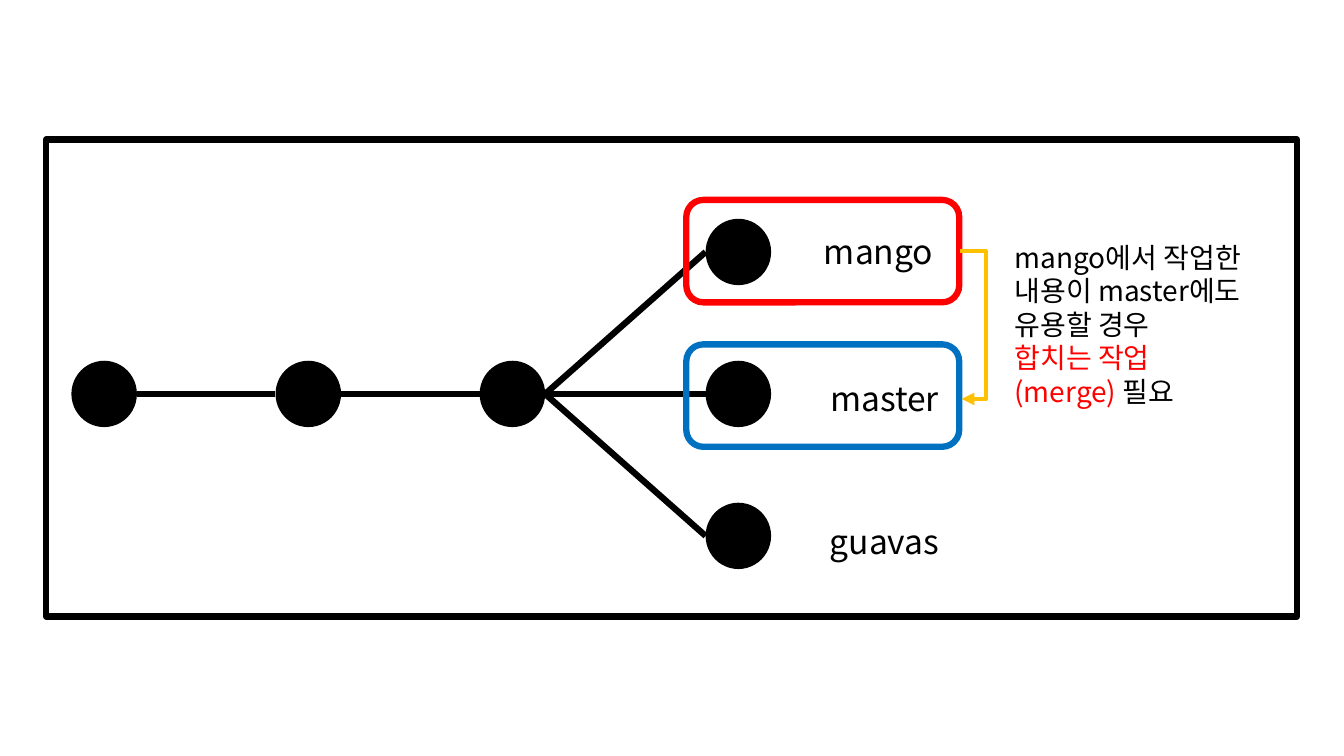
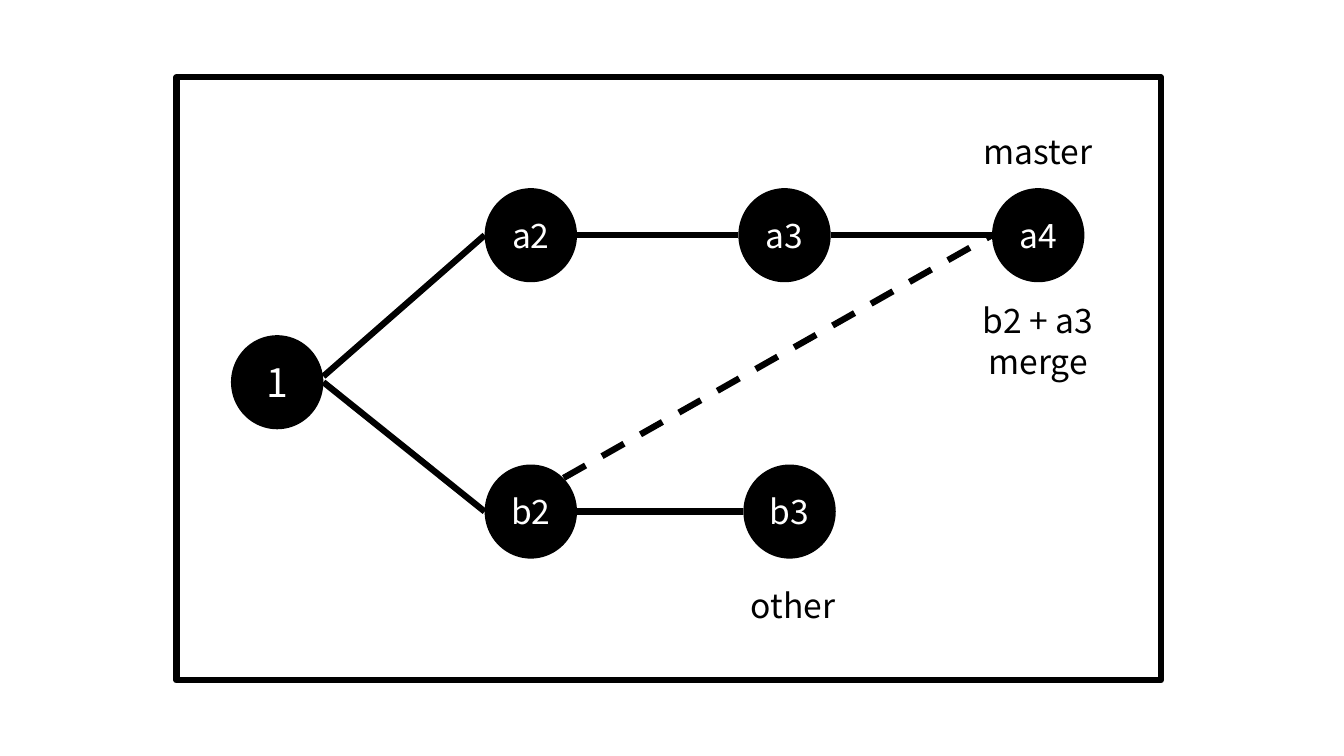
from lxml.etree import SubElement
from pptx import Presentation
from pptx.dml.color import RGBColor
from pptx.enum.dml import MSO_LINE
from pptx.enum.shapes import MSO_CONNECTOR, MSO_SHAPE
from pptx.enum.text import MSO_ANCHOR, MSO_AUTO_SIZE, PP_ALIGN
from pptx.oxml.ns import qn
from pptx.util import Inches, Pt

COLUMNS, ROWS = 16, 9
CELL = Inches(7.5) / ROWS
FONT = "Noto Sans CJK KR"
BLACK, WHITE, RED, BLUE, AMBER = "000000", "FFFFFF", "FF0000", "0070C0", "FFC000"


def color(value):
    return RGBColor.from_string(value)


def cells(*values):
    return [round(value * CELL) for value in values]


class Diagram:
    def __init__(self, presentation):
        self.presentation = presentation
        self.slide = None
        self.node_size = None

    def new_slide(self, node_size):
        self.slide = self.presentation.slides.add_slide(self.presentation.slide_layouts[6])
        self.node_size = node_size

    def fill_paragraph(self, paragraph, runs, size, ink, align):
        paragraph.alignment = align
        paragraph.font.size = Pt(size)
        paragraph.font.name = FONT
        mixed = len({run_color for _, run_color in runs}) > 1
        if not mixed:
            paragraph.font.color.rgb = color(runs[0][1] or ink)
        defaults = paragraph._p.get_or_add_pPr().find(qn("a:defRPr"))
        SubElement(defaults, qn("a:ea")).set("typeface", FONT)
        for text, run_color in runs:
            run = paragraph.add_run()
            run.text = text
            if mixed:
                run.font.color.rgb = color(run_color or ink)

    def fill_text(self, frame, lines, size, ink, align):
        frame.word_wrap = True
        for index, line in enumerate(lines):
            paragraph = frame.add_paragraph() if index else frame.paragraphs[0]
            runs = [(line, None)] if isinstance(line, str) else line
            self.fill_paragraph(paragraph, runs, size, ink, align)

    def node(self, x, y, text="", size=24):
        width, height = self.node_size
        shape = self.slide.shapes.add_shape(
            MSO_SHAPE.OVAL, *cells(x - width / 2, y - height / 2, width, height))
        shape.shadow.inherit = False
        shape.fill.solid()
        shape.fill.fore_color.rgb = color(BLACK)
        shape.line.fill.background()
        if text:
            shape.text_frame.vertical_anchor = MSO_ANCHOR.MIDDLE
            self.fill_text(shape.text_frame, [text], size, WHITE, PP_ALIGN.CENTER)

    def outline(self, kind, left, top, width, height, ink=BLACK):
        shape = self.slide.shapes.add_shape(kind, *cells(left, top, width, height))
        shape.shadow.inherit = False
        shape.fill.background()
        shape.line.color.rgb = color(ink)
        shape.line.width = Pt(4.5)

    def text(self, left, top, width, height, lines, size=24, align=PP_ALIGN.CENTER):
        box = self.slide.shapes.add_textbox(*cells(left, top, width, height))
        box.text_frame.auto_size = MSO_AUTO_SIZE.SHAPE_TO_FIT_TEXT
        self.fill_text(box.text_frame, lines, size, BLACK, align)

    def label(self, x, y, *lines, width=1.81, height=0.6):
        self.text(x - width / 2, y - height / 2, width, height, lines)

    def line(self, start, end, ink=BLACK, weight=4.5, kind=MSO_CONNECTOR.STRAIGHT):
        connector = self.slide.shapes.add_connector(kind, *cells(*start, *end))
        connector.line.color.rgb = color(ink)
        connector.line.width = Pt(weight)
        SubElement(connector._element.spPr, qn("a:effectLst"))
        return connector

    def link(self, start, end, lift=0):
        reach = self.node_size[0] / 2
        return self.line((start[0] + reach, start[1] - lift), (end[0] - reach, end[1]))

    def bent_arrow(self, start, end, bend):
        connector = self.line(start, end, AMBER, 3, MSO_CONNECTOR.ELBOW)
        properties = connector._element.spPr
        ratio = (bend - start[0]) / (end[0] - start[0])
        guide = SubElement(properties.find(qn("a:prstGeom")).find(qn("a:avLst")), qn("a:gd"))
        guide.set("name", "adj1")
        guide.set("fmla", f"val {round(ratio * 100000)}")
        SubElement(properties.find(qn("a:ln")), qn("a:tailEnd")).set("type", "triangle")


def branches_slide(diagram):
    diagram.new_slide((0.78, 0.79))
    middle, gap = 4.69, 1.69
    trunk = [(1.24 + 2.43 * step, middle) for step in range(3)]
    tips = [(8.79, middle + gap * step) for step in (-1, 0, 1)]
    for center in trunk + tips:
        diagram.node(*center)
    for start, end in zip(trunk, trunk[1:]):
        diagram.link(start, end)
    for tip in tips:
        diagram.link(trunk[-1], tip)
    diagram.label(10.46, 2.99, "mango", width=1.57)
    diagram.label(10.53, 4.74, "master")
    diagram.label(10.53, 6.44, "guavas", width=1.57)
    for top, ink in ((2.38, RED), (4.1, BLUE)):
        diagram.outline(MSO_SHAPE.ROUNDED_RECTANGLE, 8.17, top, 3.25, 1.22, ink)
    diagram.bent_arrow((11.43, 2.99), (11.45, 4.75), 11.74)
    diagram.text(11.96, 2.8, 3.05, 2.14, [
        "mango에서 작업한 내용이 master에도 유용할 경우 ",
        [("합치는 작업(merge)", RED), (" 필요", None)],
    ], 20, PP_ALIGN.LEFT)
    diagram.outline(MSO_SHAPE.RECTANGLE, 0.55, 1.66, 14.89, 5.68)


def merge_slide(diagram):
    diagram.new_slide((1.1, 1.12))
    first, second, third, fourth = [3.3 + 3.02 * step for step in range(4)]
    upper, middle, lower = 2.8, 4.55, 6.09
    root = (first, middle)
    a2, a3, a4 = [(x, upper) for x in (second, third, fourth)]
    b2, b3 = (second, lower), (third + 0.06, lower)
    diagram.node(*root, "1", 28)
    for name, center in (("a2", a2), ("a3", a3), ("a4", a4), ("b2", b2), ("b3", b3)):
        diagram.node(*center, name)
    diagram.link(root, a2, lift=0.07)
    for start, end in ((root, b2), (a2, a3), (a3, a4), (b2, b3)):
        diagram.link(start, end)
    merge = diagram.line((second + 0.39, lower - 0.4), (fourth - 0.55, upper))
    merge.line.dash_style = MSO_LINE.DASH
    diagram.label(fourth, 1.8, "master")
    diagram.label(third + 0.1, 7.2, "other", width=1.57)
    diagram.label(fourth, 4.06, "b2 + a3", "merge", height=1.09)
    diagram.outline(MSO_SHAPE.RECTANGLE, 2.1, 0.92, 11.72, 7.18)


presentation = Presentation()
presentation.slide_width, presentation.slide_height = cells(COLUMNS, ROWS)
diagram = Diagram(presentation)
branches_slide(diagram)
merge_slide(diagram)
presentation.save("out.pptx")
